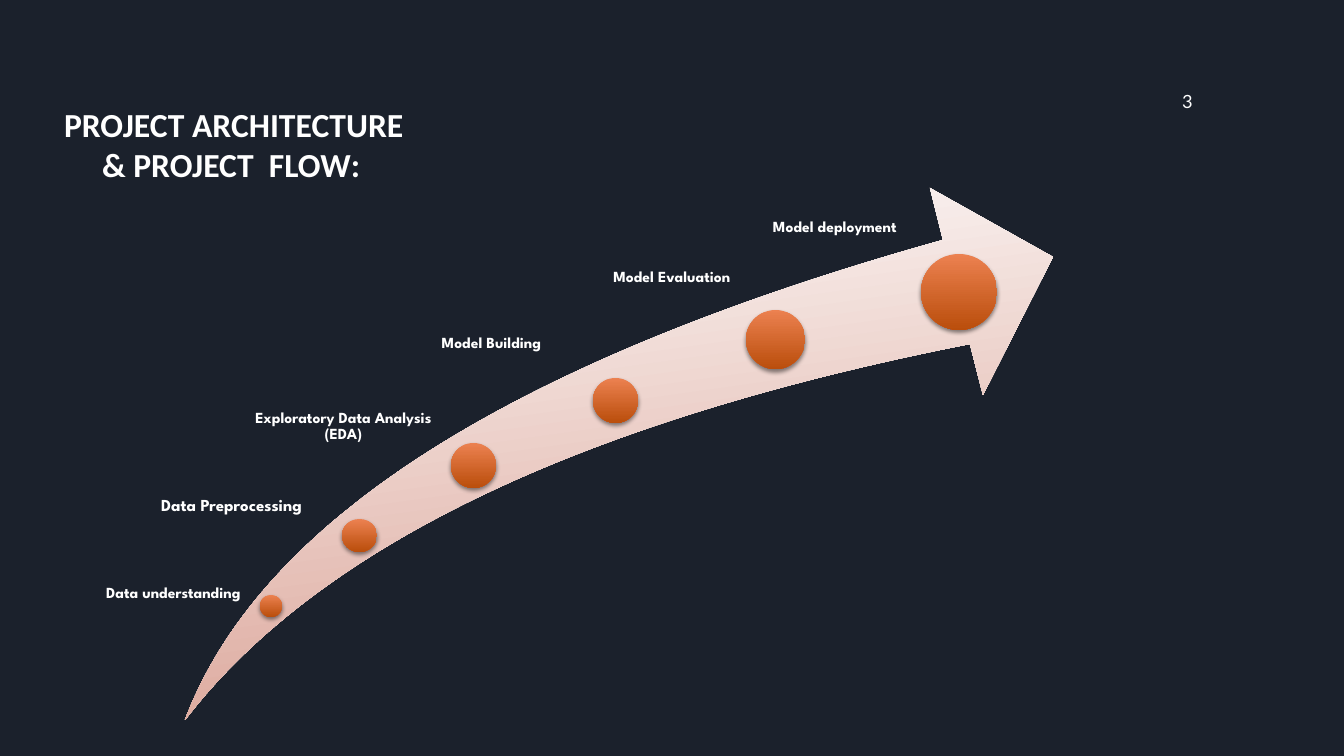
from dataclasses import dataclass

from lxml import etree
from pptx import Presentation
from pptx.dml.color import RGBColor
from pptx.enum.shapes import MSO_SHAPE
from pptx.enum.text import MSO_ANCHOR, MSO_AUTO_SIZE, PP_ALIGN
from pptx.oxml import parse_xml
from pptx.oxml.ns import nsdecls, qn
from pptx.util import Pt

LEFT, CENTER = PP_ALIGN.LEFT, PP_ALIGN.CENTER
TOP, BOTTOM = MSO_ANCHOR.TOP, MSO_ANCHOR.BOTTOM
OVAL = MSO_SHAPE.OVAL
NO_FIT = MSO_AUTO_SIZE.NONE


@dataclass(frozen=True)
class Theme:
    background: str = "1B212C"
    text: str = "FFFFFF"
    arrow: tuple = ("FEFEFE", "D79A8C")
    dot: tuple = ("EC8150", "BA4E0C")
    title_font: str = "Calibri"
    label_font: str = "League Spartan"
    number_font: str = "Lato"
    title_size: int = 24
    label_size: int = 11
    large_label_size: int = 12
    number_size: int = 13


THEME = Theme()

# Content; boxes are left, top, width, height in px
TITLE = ["PROJECT ARCHITECTURE", "& PROJECT  FLOW:"]
TITLE_BOX = (54, 99, 971, 85)
TITLE_INDENT = 38
PAGE_NUMBER = "3"
PAGE_NUMBER_BOX = (1141, 32, 93, 80)

# label lines, label box, alignment, size, dot box
STEPS = [
    (["Data understanding"], (95, 585, 157, 129), CENTER, THEME.label_size, (260, 595, 22, 22)),
    (["Data Preprocessing"], (106, 497, 251, 39), CENTER, THEME.large_label_size, (342, 519, 35, 33)),
    (["Exploratory Data Analysis", "(EDA)"], (192, 410, 303, 62), CENTER, THEME.label_size,
     (451, 443, 45, 45)),
    (["Model Building"], (344, 335, 295, 51), CENTER, THEME.label_size, (593, 378, 45, 45)),
    (["Model Evaluation"], (481, 269, 382, 56), CENTER, THEME.label_size, (746, 310, 59, 59)),
    (["Model deployment"], (773, 219, 193, 19), LEFT, THEME.label_size, (921, 254, 76, 76)),
]

# Arrow outline: each segment is its control points, if any, then its end point
TAIL = (185, 720)
ARROW = [
    [(261, 519), (514, 360), (943, 240)],
    [(930, 188)],
    [(1053, 257)],
    [(983, 395)],
    [(970, 344)],
    [(579, 421), (318, 547), TAIL],
]
ARROW_TILT = 8

EMU_PER_PX = 914400 / 100.8


def px(n):
    return round(n * EMU_PER_PX)


def place(sp, box):
    sp.left, sp.top, sp.width, sp.height = map(px, box)


def gradient(sp, colors, angle):
    sp.fill.gradient()
    sp.fill.gradient_angle = angle
    for stop, color in zip(sp.fill.gradient_stops, colors):
        stop.color.rgb = RGBColor.from_string(color)
    sp.line.fill.background()


def write(sp, lines, font, size, bold=True, align=LEFT, anchor=TOP, spacing=1.0, inset=(0, 0)):
    tf = sp.text_frame
    tf.auto_size = NO_FIT
    tf.word_wrap = True
    tf.vertical_anchor = anchor
    tf.margin_left = tf.margin_right = px(inset[0])
    tf.margin_top = tf.margin_bottom = px(inset[1])
    for i, line in enumerate(lines):
        p = tf.add_paragraph() if i else tf.paragraphs[0]
        p.alignment = align
        p.line_spacing = spacing
        r = p.add_run()
        r.text = line
        r.font.name = font
        r.font.size = Pt(size)
        r.font.bold = bold
        r.font.color.rgb = RGBColor.from_string(THEME.text)
    return tf


def add_text(slide, box, *args, **kwargs):
    write(slide.shapes.add_textbox(*map(px, box)), *args, **kwargs)


def add_arrow(slide):
    """Draw the outline with straight segments, then bend those with control points."""
    builder = slide.shapes.build_freeform(*TAIL, scale=EMU_PER_PX)
    builder.add_line_segments([segment[-1] for segment in ARROW], close=True)
    sp = builder.convert_to_shape()
    left = min(segment[-1][0] for segment in ARROW)
    top = min(segment[-1][1] for segment in ARROW)
    for node, (*controls, _) in zip(list(sp._element.iter(qn("a:lnTo"))), ARROW):
        if controls:
            node.tag = qn("a:cubicBezTo")
            for i, (x, y) in enumerate(controls):
                pt = etree.Element(qn("a:pt"), x=str(x - left), y=str(y - top))
                node.insert(i, pt)
    gradient(sp, THEME.arrow, 270 + ARROW_TILT)
    sp.shadow.inherit = False


def add_dot(slide, box):
    sp = slide.shapes.add_shape(OVAL, *map(px, box))
    gradient(sp, THEME.dot, 270)
    sp._element.spPr.append(parse_xml(
        f'<a:effectLst {nsdecls("a")}>'
        f'<a:outerShdw blurRad="{Pt(3)}" dist="{Pt(2)}" dir="5400000" rotWithShape="0">'
        '<a:srgbClr val="000000"><a:alpha val="45000"/></a:srgbClr>'
        '</a:outerShdw></a:effectLst>'))


def main():
    prs = Presentation()
    prs.slide_width, prs.slide_height = px(1344), px(756)
    slide = prs.slides.add_slide(prs.slide_layouts[5])
    slide.background.fill.solid()
    slide.background.fill.fore_color.rgb = RGBColor.from_string(THEME.background)

    title = slide.shapes.title
    place(title, TITLE_BOX)
    tf = write(title, TITLE, THEME.title_font, THEME.title_size, inset=(10, 5))
    tf.paragraphs[1]._p.get_or_add_pPr().set("marL", str(px(TITLE_INDENT)))
    add_text(slide, PAGE_NUMBER_BOX, [PAGE_NUMBER], THEME.number_font, THEME.number_size,
             bold=False, align=CENTER, anchor=BOTTOM)

    add_arrow(slide)
    for lines, box, align, size, dot in STEPS:
        add_dot(slide, dot)
        add_text(slide, box, lines, THEME.label_font, size, align=align, spacing=0.9)

    prs.save("out.pptx")


if __name__ == "__main__":
    main()
